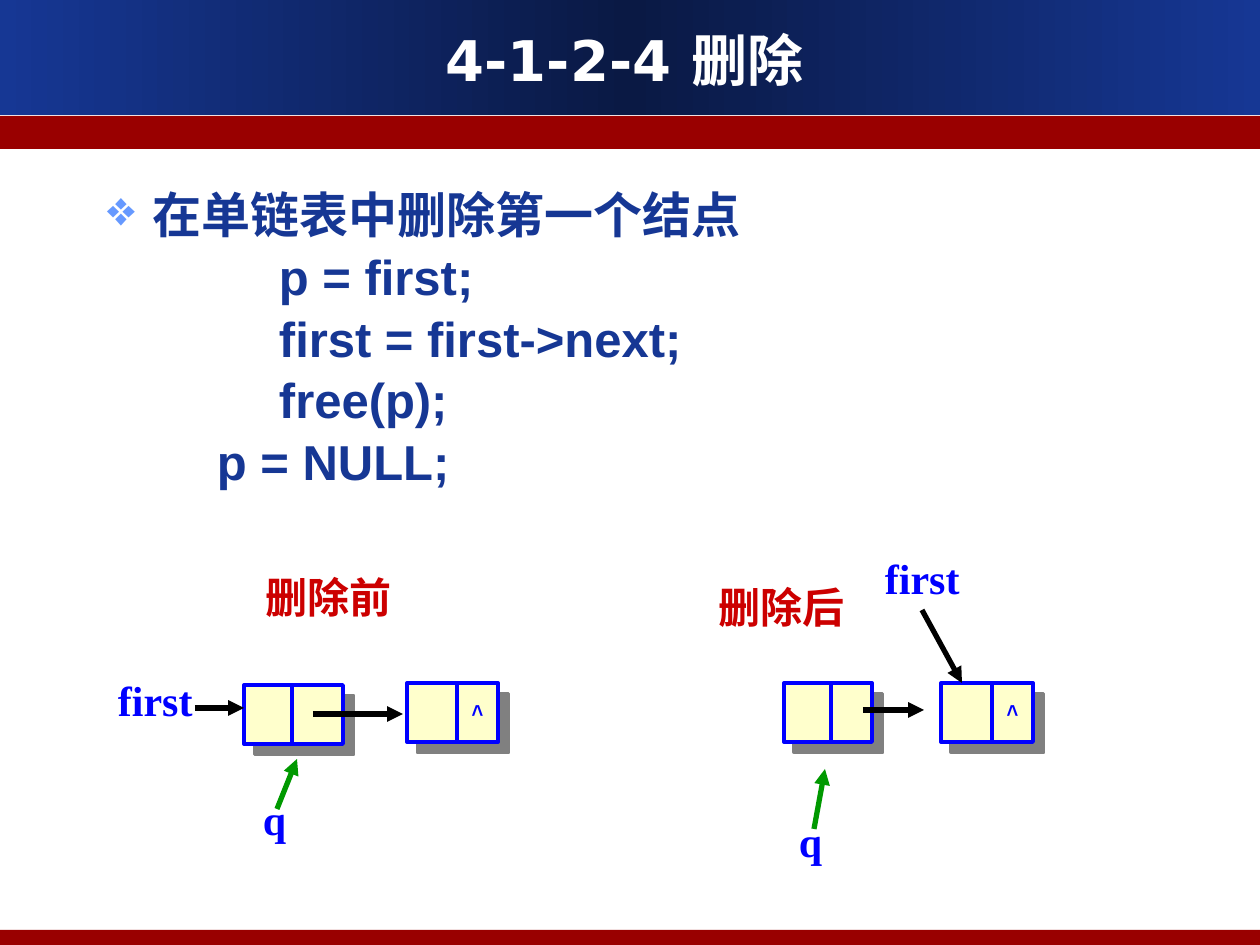
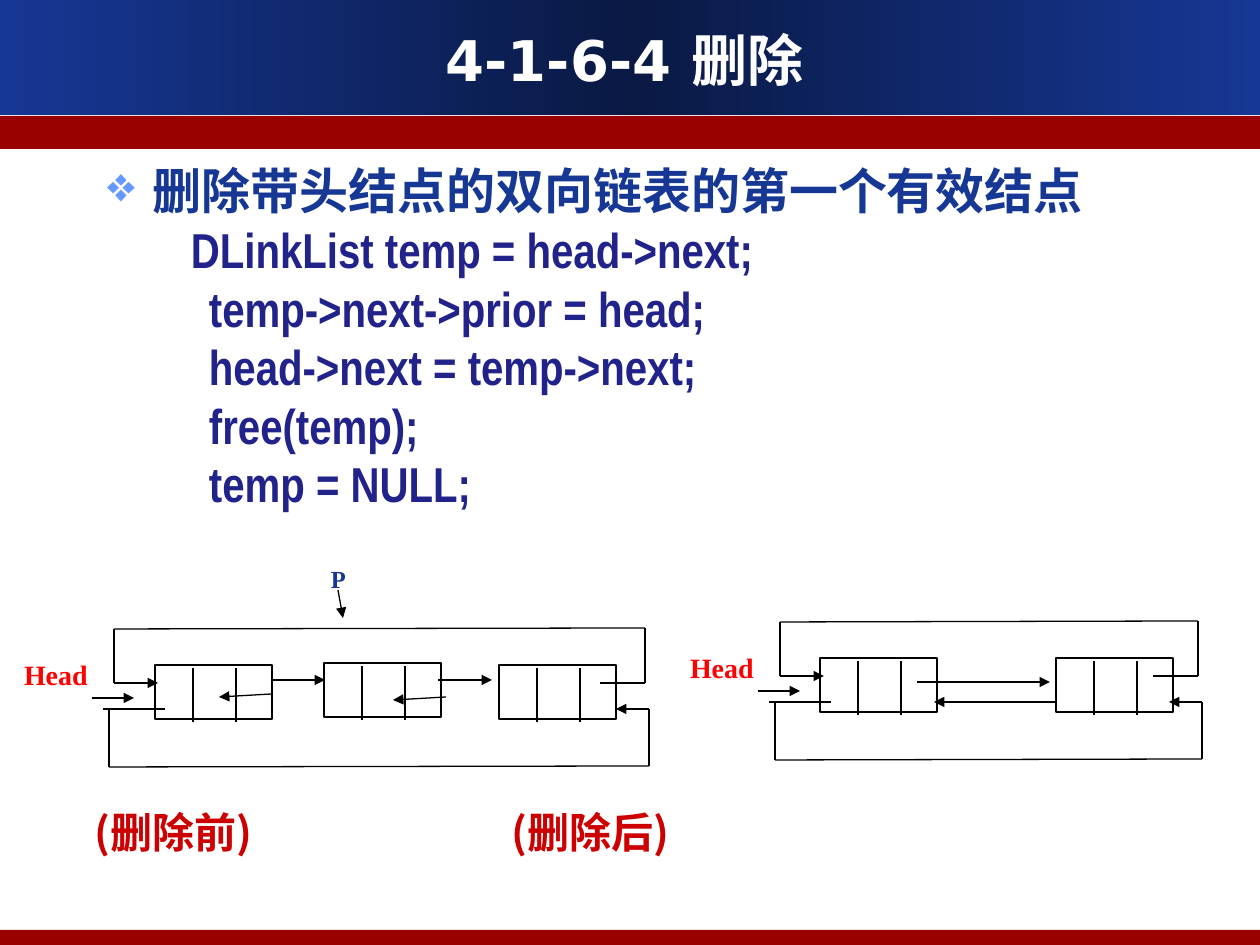
"""Build two slides on deleting a node from singly and doubly linked lists."""
from copy import deepcopy

from lxml import etree
from pptx import Presentation
from pptx.dml.color import RGBColor
from pptx.enum.shapes import MSO_CONNECTOR, MSO_SHAPE
from pptx.enum.text import MSO_ANCHOR, PP_ALIGN
from pptx.oxml.ns import qn
from pptx.util import Pt

RECT = MSO_SHAPE.RECTANGLE
LINE = MSO_CONNECTOR.STRAIGHT
MID, TOP = MSO_ANCHOR.MIDDLE, MSO_ANCHOR.TOP
MIDST, LEFT = PP_ALIGN.CENTER, PP_ALIGN.LEFT

PX = 914400 / 126
NAVY, DARK, CODE = "163794", "0A1944", "22228B"
BAND, RED, HEAD = "990000", "CC0000", "FF0000"
BLUE, CREAM, GREEN = "0000FF", "FFFFCC", "009900"
BLACK, WHITE, GRAY, SKY = "000000", "FFFFFF", "808080", "6699FF"
SANS, SLIM, SERIF = "Arial", "Arial Narrow", "Times New Roman"
TITLE, HAN = "DejaVu Sans", "Noto Sans CJK SC"

rgb = RGBColor.from_string


def box(slide, x, y, w, h, fill=None, edge=None, width=0.75, text="",
        font=SERIF, size=24, ink=BLUE, align=LEFT, anchor=TOP):
    """Draw a rectangle, or bare text when there is no fill or edge."""
    place = [round(v * PX) for v in (x, y, w, h)]
    if fill or edge:
        shape = slide.shapes.add_shape(RECT, *place)
        shape.shadow.inherit = False
        shape.fill.solid()
        shape.fill.fore_color.rgb = rgb(fill)
        if edge:
            shape.line.color.rgb = rgb(edge)
            shape.line.width = Pt(width)
        else:
            shape.line.fill.background()
    else:
        shape = slide.shapes.add_textbox(*place)
    frame = shape.text_frame
    frame.margin_left = frame.margin_right = 0
    frame.margin_top = frame.margin_bottom = 0
    frame.word_wrap = True
    frame.vertical_anchor = anchor
    if text:
        frame.text = text
    for para in frame.paragraphs:
        para.alignment = align
        for run in para.runs:
            run.font.name, run.font.size, run.font.bold = font, Pt(size), True
            run.font.color.rgb = rgb(ink)
    return shape


def wire(slide, *dots, ink=BLACK, width=0.75, tip=True):
    """Join dots with straight lines, with an arrowhead on the last one."""
    for start, end in zip(dots, dots[1:]):
        ends = [round(v * PX) for v in start + end]
        line = slide.shapes.add_connector(LINE, *ends)
        line.line.color.rgb = rgb(ink)
        line.line.width = Pt(width)
        etree.SubElement(line._element.spPr, qn("a:effectLst"))
    if tip:
        etree.SubElement(line.line._get_or_add_ln(), qn("a:tailEnd"), type="triangle")


deck = Presentation()
deck.slide_width, deck.slide_height = round(1260 * PX), round(945 * PX)

pages = [
    ("4-1-2-4 删除", 181, "在单链表中删除第一个结点", SANS, NAVY, 35.4,
     [("p = first;", 172), ("first = first->next;", 172),
      ("free(p);", 172), ("p = NULL;", 110)]),
    ("4-1-6-4 删除", 161, "删除带头结点的双向链表的第一个有效结点", SLIM, CODE, 33.5,
     [("DLinkList temp = head->next;", 84), ("temp->next->prior = head;", 102),
      ("head->next = temp->next;", 102), ("free(temp);", 102),
      ("temp = NULL;", 102)]),
]
for title, top, topic, font, ink, pitch, code in pages:
    slide = deck.slides.add_slide(deck.slide_layouts[6])
    bar = box(slide, 0, 0, 1260, 115, fill=NAVY)
    bar.fill.gradient()
    bar.fill.gradient_angle = 0
    stops = bar.fill.gradient_stops
    stops[0].color.rgb, stops[1].color.rgb = rgb(NAVY), rgb(DARK)
    stops[1].position = 0.5
    shades = bar._element.spPr.find(".//" + qn("a:gsLst"))
    last = deepcopy(shades[0])
    last.set("pos", "100000")
    shades.append(last)
    box(slide, 0, 116, 1260, 33, fill=BAND)
    box(slide, 0, 930, 1260, 15, fill=BAND)
    box(slide, 42, 20, 1165, 79, text=title, font=TITLE, size=32, ink=WHITE,
        align=MIDST, anchor=MID)

    lines = [(topic, 46)] + code
    body = box(slide, 107, top, 1090, 330, text="\n".join(t for t, _ in lines),
               font=font, size=28, ink=ink)
    paras = body.text_frame.paragraphs
    for para, (_, inset) in zip(paras, lines):
        para._p.get_or_add_pPr().set("marL", str(round(inset * PX)))
        para.line_spacing = Pt(pitch)
    first = paras[0]
    props = first._p.get_or_add_pPr()
    props.set("indent", str(round(-46 * PX)))
    tint = etree.SubElement(props, qn("a:buClr"))
    etree.SubElement(tint, qn("a:srgbClr"), val=SKY)
    etree.SubElement(props, qn("a:buChar"), char="❖")
    first.runs[0].font.name = SANS
    first.runs[0].font.color.rgb = rgb(NAVY)

single, double = deck.slides

for x, y, split, wide, mark in [(407, 683, 50, 41, "^"), (941, 683, 51, 41, "^"),
                                (784, 683, 47, 41, ""), (244, 685, 48, 51, "")]:
    for left, w, sign in [(x, 51, ""), (x + split, wide, mark)]:
        cell = box(single, left, y, w, 59, CREAM, BLUE, 2.25, sign, SLIM, 14,
                   align=MIDST, anchor=MID)
        glow = cell._element.spPr.find(qn("a:effectLst"))
        shade = etree.SubElement(glow, qn("a:outerShdw"), blurRad="0",
                                 dist="107950", dir="2700000", algn="ctr")
        etree.SubElement(shade, qn("a:srgbClr"), val=GRAY)

for x, y, text, ink in [(266, 572, "删除前", RED), (719, 582, "删除后", RED),
                        (118, 675, "first", BLUE), (885, 553, "first", BLUE),
                        (263, 794, "q", BLUE), (799, 816, "q", BLUE)]:
    box(single, x, y, 140, 50, text=text, ink=ink)

for start, end, ink in [((195, 708), (244, 708), BLACK), ((313, 714), (403, 714), BLACK),
                        ((922, 610), (962, 683), BLACK), ((863, 710), (924, 710), BLACK),
                        ((277, 809), (297, 759), GREEN), ((814, 829), (825, 769), GREEN)]:
    wire(single, start, end, ink=ink, width=3)

for x, text in [(95, "(删除前)"), (512, "(删除后)")]:
    box(double, x, 807, 200, 60, text=text, font=HAN, ink=RED)

for x, y in [(155, 665), (324, 663), (499, 665), (820, 658), (1056, 658)]:
    box(double, x, y, 117, 54, WHITE, BLACK)
    for gap in (38, 81):
        wire(double, (x + gap, y + 3), (x + gap, y + 57), tip=False)

for x, y, end in [(0, 0, 645), (666, -7, 1198)]:
    box(double, x + 24, y + 658, 68, 54, text="Head", size=16, ink=HEAD)
    wire(double, (x + 92, y + 698), (x + 134, y + 698))
    wire(double, (end - 45, y + 683), (end, y + 683), (end, y + 628),
         (x + 114, y + 629), (x + 114, y + 683), (x + 158, y + 683))
    wire(double, (x + 103, y + 709), (x + 165, y + 709), tip=False)
    wire(double, (x + 109, y + 709), (x + 109, y + 767), (end + 4, y + 766),
         (end + 4, y + 709), (end - 29, y + 709))

box(double, 331, 564, 60, 26, text="P", size=14, ink=NAVY)
for start, end in [((338, 590), (343, 618)), ((271, 680), (325, 680)),
                   ((438, 680), (492, 680)), ((271, 694), (219, 697)),
                   ((446, 697), (393, 700)), ((917, 682), (1050, 682)),
                   ((1056, 702), (934, 702))]:
    wire(double, start, end)

deck.save("out.pptx")
